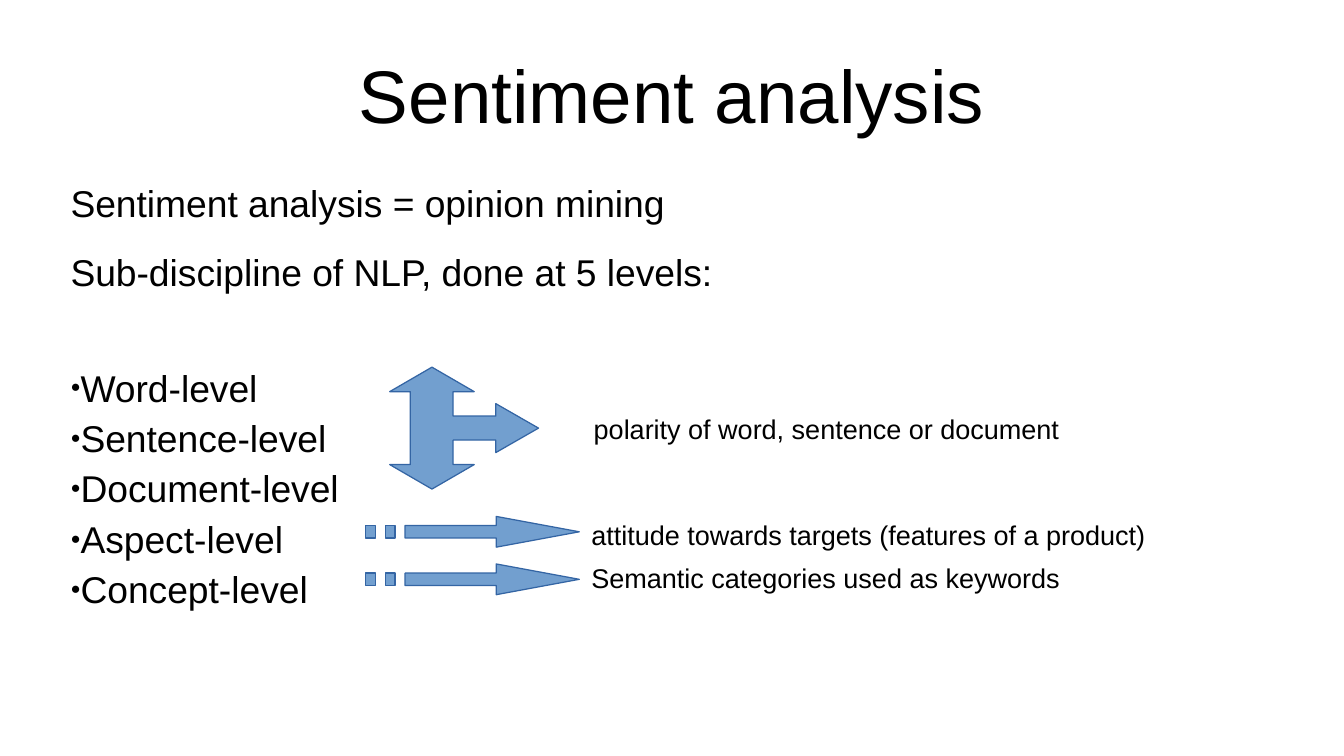
"""Build the "Sentiment analysis" slide."""
from dataclasses import dataclass

import pptx
import pptx.dml.color
import pptx.enum.text
import pptx.oxml
import pptx.oxml.ns
import pptx.util
from pptx.util import Cm

ALIGN = pptx.enum.text.PP_ALIGN
ANCHOR = pptx.enum.text.MSO_ANCHOR


@dataclass(frozen=True)
class Theme:
    """Colours, font and type sizes."""
    font: str = "Arial"
    text: str = "000000"
    fill: str = "729FCF"
    line: str = "3465A4"
    title: int = 44
    body: int = 22
    label: int = 16


def rgb(value):
    """Return a colour from its hex code."""
    return pptx.dml.color.RGBColor.from_string(value)


def add_bullet(p):
    """Give a paragraph a small round bullet directly before its text."""
    pPr = p._p.get_or_add_pPr()
    pPr.set("marL", "0")
    pPr.set("indent", "0")
    ns = pptx.oxml.ns.nsdecls("a")
    for xml in (f'<a:buSzPct {ns} val="45000"/>',
                f'<a:buFont {ns} typeface="Arial"/>',
                f'<a:buChar {ns} char="●"/>'):
        pPr.append(pptx.oxml.parse_xml(xml))


class Deck:
    """Holds the theme and the current slide."""

    def __init__(self, prs, theme):
        """Add a blank slide to the presentation."""
        self.theme = theme
        self.s = prs.slides.add_slide(prs.slide_layouts[6])

    def text(self, box, lines, size, align=ALIGN.JUSTIFY, anchor=ANCHOR.TOP,
             after=0, bullets=False):
        """Add a text box without insets; box is left, top, width, height in cm."""
        sp = self.s.shapes.add_textbox(*(Cm(v) for v in box))
        tf = sp.text_frame
        tf.margin_left = tf.margin_right = tf.margin_top = tf.margin_bottom = 0
        tf.word_wrap = True
        tf.vertical_anchor = anchor
        tf.text = "\n".join(lines)
        for p in tf.paragraphs:
            p.alignment = align
            p.space_after = pptx.util.Pt(after)
            if bullets:
                add_bullet(p)
            for r in p.runs:
                r.font.name = self.theme.font
                r.font.size = pptx.util.Pt(size)
                r.font.color.rgb = rgb(self.theme.text)

    def outline(self, left, top, contours):
        """Add one filled shape from closed contours in cm, offset by left and top."""
        moved = [[(Cm(left + x), Cm(top + y)) for x, y in points]
                 for points in contours]
        builder = self.s.shapes.build_freeform(*moved[0][0])
        builder.add_line_segments(moved[0][1:], close=True)
        for points in moved[1:]:
            builder.move_to(*points[0])
            builder.add_line_segments(points[1:], close=True)
        sp = builder.convert_to_shape()
        sp.shadow.inherit = False
        sp.fill.solid()
        sp.fill.fore_color.rgb = rgb(self.theme.fill)
        sp.line.color.rgb = rgb(self.theme.line)
        sp.line.width = 0

    def striped_arrow(self, left, top):
        """Add a right arrow with two stripes at its tail."""
        upper, lower, height = 0.19, 0.45, 0.64
        stripes = [[(x, upper), (x + 0.2, upper), (x + 0.2, lower), (x, lower)]
                   for x in (0, 0.41)]
        arrow = [(0.82, upper), (2.72, upper), (2.72, 0), (4.45, height / 2),
                 (2.72, height), (2.72, lower), (0.82, lower)]
        self.outline(left, top, [arrow] + stripes)

    def three_way_arrow(self, left, top):
        """Add an arrow pointing up, right and down, mirrored about its middle."""
        height = 2.54
        upper = [(0.43, 0.51), (0, 0.51), (0.88, 0), (1.76, 0.51),
                 (1.32, 0.51), (1.32, 1.02), (2.21, 1.02), (2.21, 0.76)]
        lower = [(x, height - y) for x, y in reversed(upper)]
        self.outline(left, top, [upper + [(3.1, height / 2)] + lower])


def main():
    """Compose and save the slide."""
    prs = pptx.Presentation()
    prs.slide_width, prs.slide_height = Cm(28), Cm(15.75)
    theme = Theme()
    deck = Deck(prs, theme)

    deck.text((1.4, 0.63, 25.2, 2.63), ["Sentiment analysis"], theme.title,
              ALIGN.CENTER, ANCHOR.MIDDLE)
    deck.text((1.47, 3.75, 25.2, 2.5),
              ["Sentiment analysis = opinion mining",
               "Sub-discipline of NLP, done at 5 levels:"],
              theme.body, after=14.8)
    levels = ("Word", "Sentence", "Document", "Aspect", "Concept")
    deck.text((1.47, 7.6, 6, 5.1), [f"{name}-level" for name in levels],
              theme.body, after=3.4, bullets=True)

    deck.three_way_arrow(8.12, 7.65)
    for top in (10.76, 11.75):
        deck.striped_arrow(7.62, top)

    labels = (
        (12.37, 8.6, "polarity of word, sentence or document"),
        (12.32, 10.8, "attitude towards targets (features of a product)"),
        (12.32, 11.69, "Semantic categories used as keywords"),
    )
    for left, top, label in labels:
        deck.text((left, top, 12.8, 0.65), [label], theme.label)

    prs.save("out.pptx")


main()
